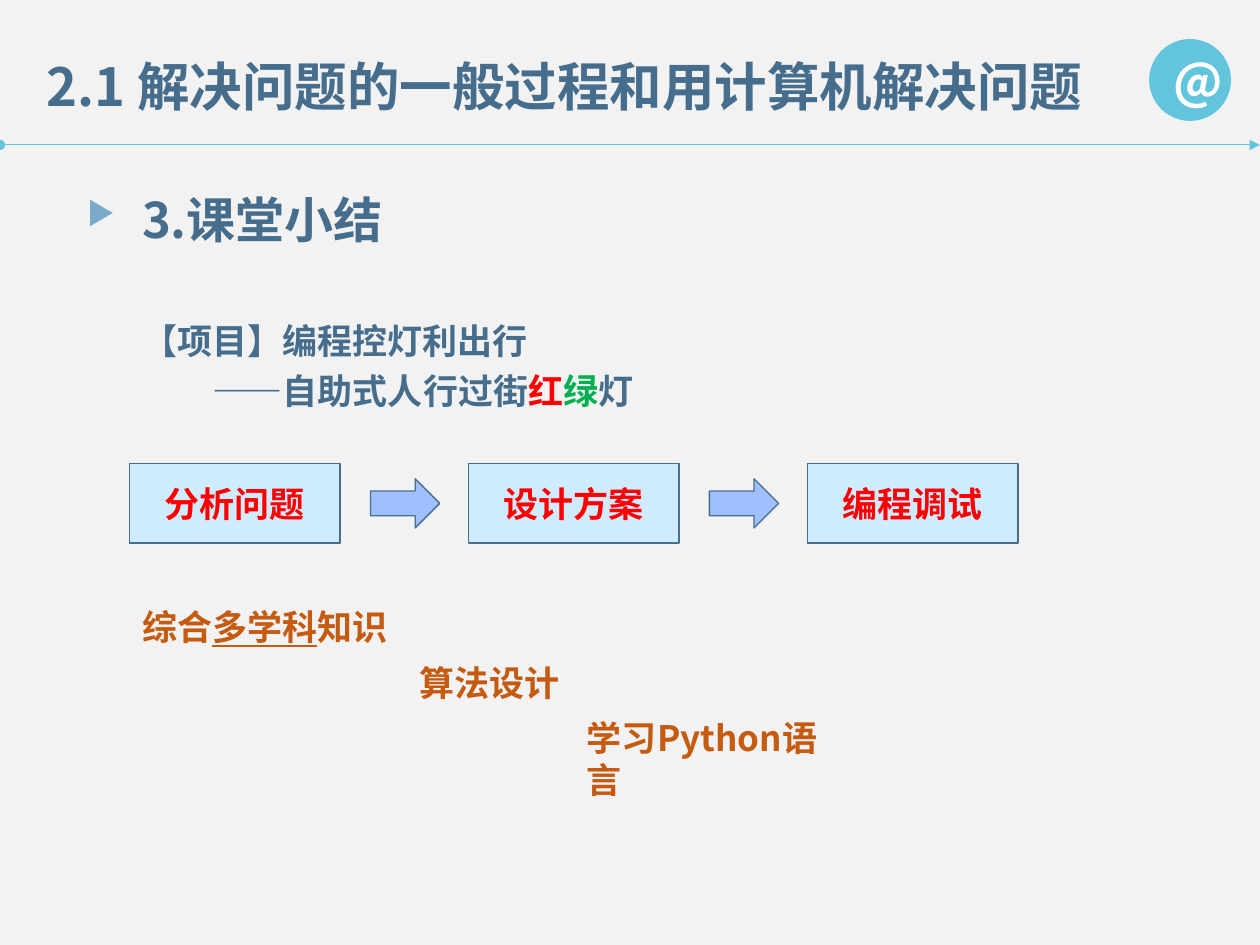
from dataclasses import dataclass
from typing import Optional

from lxml.etree import SubElement
from pptx import Presentation
from pptx.dml.color import RGBColor
from pptx.enum.shapes import MSO_CONNECTOR, MSO_SHAPE
from pptx.enum.text import MSO_ANCHOR, MSO_AUTO_SIZE, PP_ALIGN
from pptx.oxml.ns import qn
from pptx.util import Inches, Pt

FACE = "Noto Sans CJK SC"
PAPER = RGBColor(0xF2, 0xF2, 0xF2)
CYAN = RGBColor(0x62, 0xC5, 0xDC)
WHITE = RGBColor(0xFF, 0xFF, 0xFF)
SLATE = RGBColor(0x46, 0x6E, 0x8C)
PALE = RGBColor(0xCF, 0xEC, 0xFF)
BLUE = RGBColor(0x9F, 0xBF, 0xFF)
STEEL = RGBColor(0x7B, 0xA9, 0xCA)
RED = RGBColor(0xFF, 0x00, 0x00)
GREEN = RGBColor(0x00, 0xB0, 0x50)
RUST = RGBColor(0xC5, 0x5A, 0x11)


@dataclass
class Run:
    text: str
    color: RGBColor
    size: float = 20
    under: Optional[bool] = None


@dataclass
class Line:
    runs: list[Run]
    indent: float = 0


@dataclass
class Note:
    left: float
    top: float
    width: float
    height: float
    lines: list[Line]
    space: Optional[float] = None


@dataclass
class Form:
    kind: MSO_SHAPE
    left: float
    top: float
    width: float
    height: float
    fill: RGBColor
    edge: Optional[RGBColor] = None
    label: Optional[Run] = None
    turn: float = 0


def add_run(para, item: Run) -> None:
    run = para.add_run()
    run.text = item.text
    style = {"name": FACE, "size": Pt(item.size), "bold": True, "underline": item.under}
    for key, value in style.items():
        setattr(run.font, key, value)
    run.font.color.rgb = item.color
    SubElement(run.font._element, qn("a:ea"), typeface=FACE)


def draw_note(slide, note: Note) -> None:
    box = slide.shapes.add_textbox(
        Inches(note.left), Inches(note.top), Inches(note.width), Inches(note.height)
    )
    frame = box.text_frame
    style = {"word_wrap": True, "auto_size": MSO_AUTO_SIZE.SHAPE_TO_FIT_TEXT}
    for key, value in style.items():
        setattr(frame, key, value)
    for index, line in enumerate(note.lines):
        para = frame.add_paragraph() if index else frame.paragraphs[0]
        para.line_spacing = note.space
        if line.indent:
            para._p.get_or_add_pPr().set("marL", str(Inches(line.indent)))
        for item in line.runs:
            add_run(para, item)


def draw_form(slide, form: Form) -> None:
    shape = slide.shapes.add_shape(
        form.kind, Inches(form.left), Inches(form.top), Inches(form.width), Inches(form.height)
    )
    shape.shadow.inherit = False
    shape.rotation = form.turn
    shape.fill.solid()
    shape.fill.fore_color.rgb = form.fill
    if form.edge is None:
        shape.line.fill.background()
    else:
        shape.line.color.rgb = form.edge
        shape.line.width = Pt(0.75)
    if form.label:
        shape.text_frame.vertical_anchor = MSO_ANCHOR.MIDDLE
        para = shape.text_frame.paragraphs[0]
        para.alignment = PP_ALIGN.CENTER
        add_run(para, form.label)


def draw_rule(slide, top: float, width: float) -> None:
    rule = slide.shapes.add_connector(
        MSO_CONNECTOR.STRAIGHT, Inches(0), Inches(top), Inches(width), Inches(top)
    )
    rule.line.color.rgb = CYAN
    rule.line.width = Pt(0.5)
    edge = rule.line._get_or_add_ln()
    for tag, kind in {"a:headEnd": "oval", "a:tailEnd": "triangle"}.items():
        SubElement(edge, qn(tag), type=kind)
    SubElement(rule._element.spPr, qn("a:effectLst"))


def draw_steps(slide, names: list[str]) -> None:
    left, pitch = 1.03, 2.69
    for index, name in enumerate(names):
        draw_form(slide, Form(MSO_SHAPE.RECTANGLE, left + index * pitch, 3.68, 1.67, 0.63,
                              PALE, SLATE, Run(name, RED)))
    for index in range(len(names) - 1):
        draw_form(slide, Form(MSO_SHAPE.RIGHT_ARROW, left + 1.91 + index * pitch, 3.8,
                              0.55, 0.39, BLUE, SLATE))


def main() -> None:
    deck = Presentation()
    deck.slide_width, deck.slide_height = Inches(10), Inches(7.5)
    slide = deck.slides.add_slide(deck.slide_layouts[6])
    slide.background.fill.solid()
    slide.background.fill.fore_color.rgb = PAPER

    draw_rule(slide, 1.15, 10)
    draw_form(slide, Form(MSO_SHAPE.OVAL, 9.12, 0.31, 0.65, 0.65, CYAN,
                          label=Run("@", WHITE, 28)))
    title = Run("2.1 解决问题的一般过程和用计算机解决问题", SLATE, 30)
    draw_note(slide, Note(0.27, 0.38, 9.25, 0.6, [Line([title])]))
    draw_steps(slide, ["分析问题", "设计方案", "编程调试"])

    skill = [Run("综合", RUST), Run("多学科", RUST, under=True), Run("知识", RUST)]
    theme = Line([Run("【项目】编程控灯利出行", SLATE)])
    topic = Line([Run("——自助式人行过街", SLATE), Run("红", RED),
                  Run("绿", GREEN), Run("灯", SLATE)], 0.56)
    notes = [
        Note(4.56, 5.64, 2.2, 0.44, [Line([Run("学习Python语言", RUST)])]),
        Note(1.03, 4.76, 2.19, 0.44, [Line(skill)]),
        Note(3.23, 5.2, 1.33, 0.44, [Line([Run("算法设计", RUST)])]),
        Note(1.03, 2.42, 7.23, 0.91, [theme, topic], 1.2),
        Note(1.03, 1.36, 8.06, 0.66, [Line([Run("3.课堂小结", SLATE, 28)])], 1.2),
    ]
    for note in notes:
        draw_note(slide, note)
    draw_form(slide, Form(MSO_SHAPE.ISOSCELES_TRIANGLE, 0.7, 1.6, 0.21, 0.18, STEEL, turn=90))

    deck.save("out.pptx")


if __name__ == "__main__":
    main()
